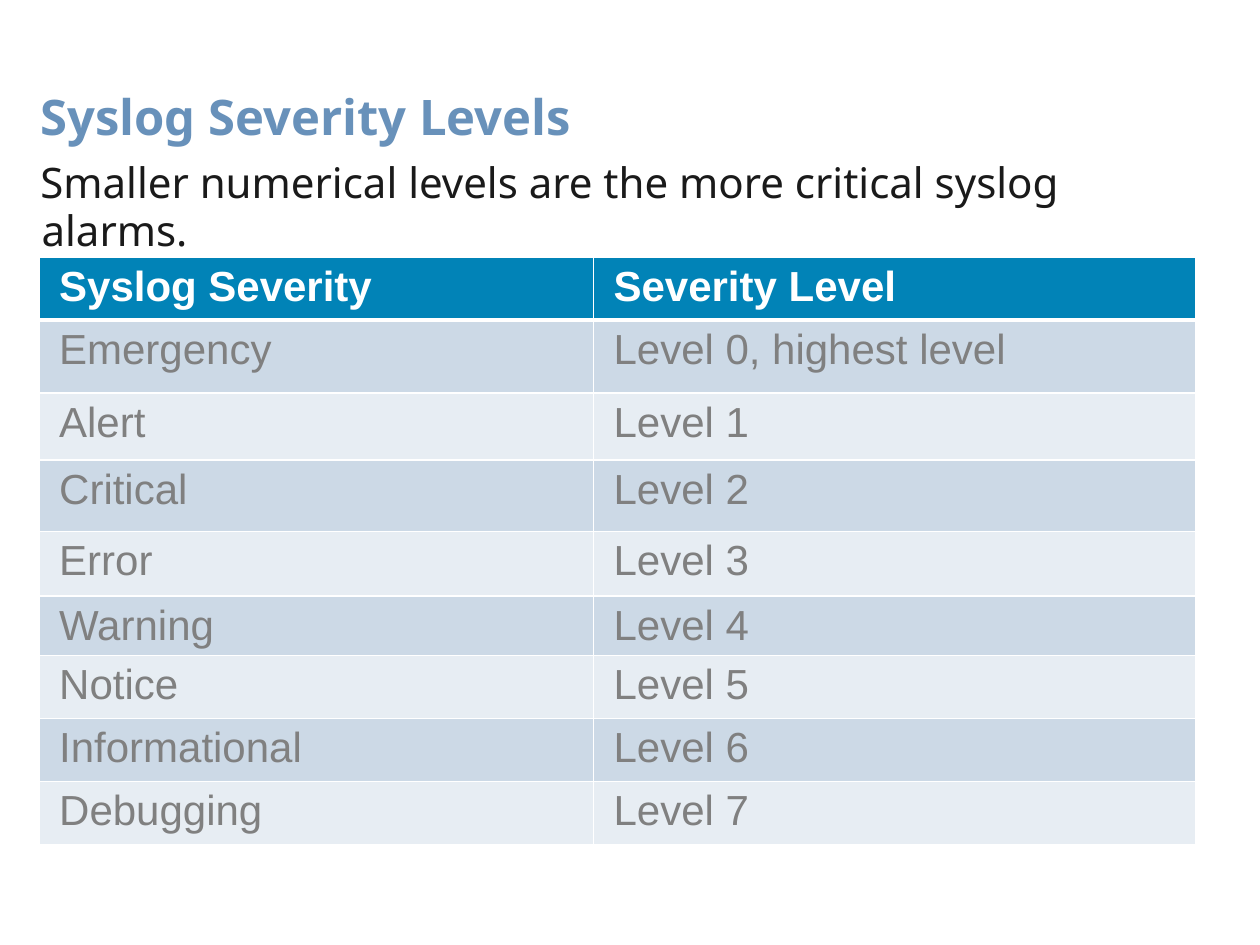
import pptx
import pptx.util
import pptx.dml.color
import pptx.enum.text
import pptx.oxml
import pptx.oxml.ns

Inches, Pt = pptx.util.Inches, pptx.util.Pt
ANCHOR = pptx.enum.text.MSO_ANCHOR

TITLE = "Syslog Severity Levels"
LEAD = "Smaller numerical levels are the more critical syslog alarms."
HEAD = ("Syslog Severity", "Severity Level")
NAMES = ["Emergency", "Alert", "Critical", "Error", "Warning",
         "Notice", "Informational", "Debugging"]
COLS = (4.4, 4.78)
ROWS = (0.5, 0.58, 0.53, 0.57, 0.51, 0.47, 0.5, 0.5, 0.5)
BANDS = ("E7EDF3", "CCD9E6")


def color(code):
    return pptx.dml.color.RGBColor.from_string(code)


def style(par, size, face, code, bold=False):
    font = par.font
    font.size, font.name, font.bold = Pt(size), face, bold
    font.color.rgb = color(code)


def inset(box, left, top, right, bottom):
    box.margin_left, box.margin_top = Inches(left), Inches(top)
    box.margin_right, box.margin_bottom = Inches(right), Inches(bottom)


def write(shape, text, anchor, size, code, bold, space):
    frame = shape.text_frame
    frame.word_wrap = True
    frame.auto_size = pptx.enum.text.MSO_AUTO_SIZE.NONE
    frame.vertical_anchor = anchor
    inset(frame, 0.04, 0.04, 0.09, 0.04)
    par = frame.paragraphs[0]
    par.text = text
    par.alignment = pptx.enum.text.PP_ALIGN.LEFT
    par.line_spacing = space
    style(par, size, "Noto Sans", code, bold)
    return par


def border(cell, sides):
    props = cell._tc.get_or_add_tcPr()
    for spot, (side, width) in enumerate(sides.items()):
        props.insert(spot, pptx.oxml.parse_xml(
            f'<a:ln{side} {pptx.oxml.ns.nsdecls("a")} w="{Pt(width)}">'
            '<a:solidFill><a:srgbClr val="FFFFFF"/></a:solidFill>'
            f'</a:ln{side}>'))


def grid(slide):
    levels = [f"Level {n}" for n in range(len(NAMES))]
    levels[0] += ", highest level"
    data = [HEAD, *zip(NAMES, levels)]
    table = slide.shapes.add_table(
        len(data), len(COLS), Inches(0.31), Inches(2.04),
        Inches(sum(COLS)), Inches(sum(ROWS))).table
    for col, width in zip(table.columns, COLS):
        col.width = Inches(width)
    for r, (row, high) in enumerate(zip(data, ROWS)):
        table.rows[r].height = Inches(high)
        top = r == 0
        for c, text in enumerate(row):
            cell = table.cell(r, c)
            cell.text = text
            inset(cell, 0.16, 0.05, 0.16, 0.05)
            cell.fill.solid()
            cell.fill.fore_color.rgb = color("0183B7" if top else BANDS[r % 2])
            style(cell.text_frame.paragraphs[0], 24, "Arial",
                  "FFFFFF" if top else "808080", top)
            border(cell, {"L": 1, "R": 1, "T": 3 if r == 1 else 1,
                          "B": 3 if top else 1})


def main():
    deck = pptx.Presentation()
    deck.slide_width, deck.slide_height = Inches(10), Inches(7.5)
    slide = deck.slides.add_slide(deck.slide_layouts[5])
    title = slide.shapes.title
    title.left, title.top = Inches(0.28), Inches(0.6)
    title.width, title.height = Inches(9.32), Inches(0.6)
    write(title, TITLE, ANCHOR.BOTTOM, 28, "6891BA", True, 0.9)
    lead = slide.shapes.add_textbox(
        Inches(0.28), Inches(1.23), Inches(9.21), Inches(0.56))
    par = write(lead, LEAD, ANCHOR.TOP, 24, "1A1A1A", False, 0.95)
    props = par._p.get_or_add_pPr()
    props.set("marL", str(Inches(0.01)))
    props.set("indent", str(Inches(-0.01)))
    grid(slide)
    deck.save("out.pptx")


if __name__ == "__main__":
    main()
